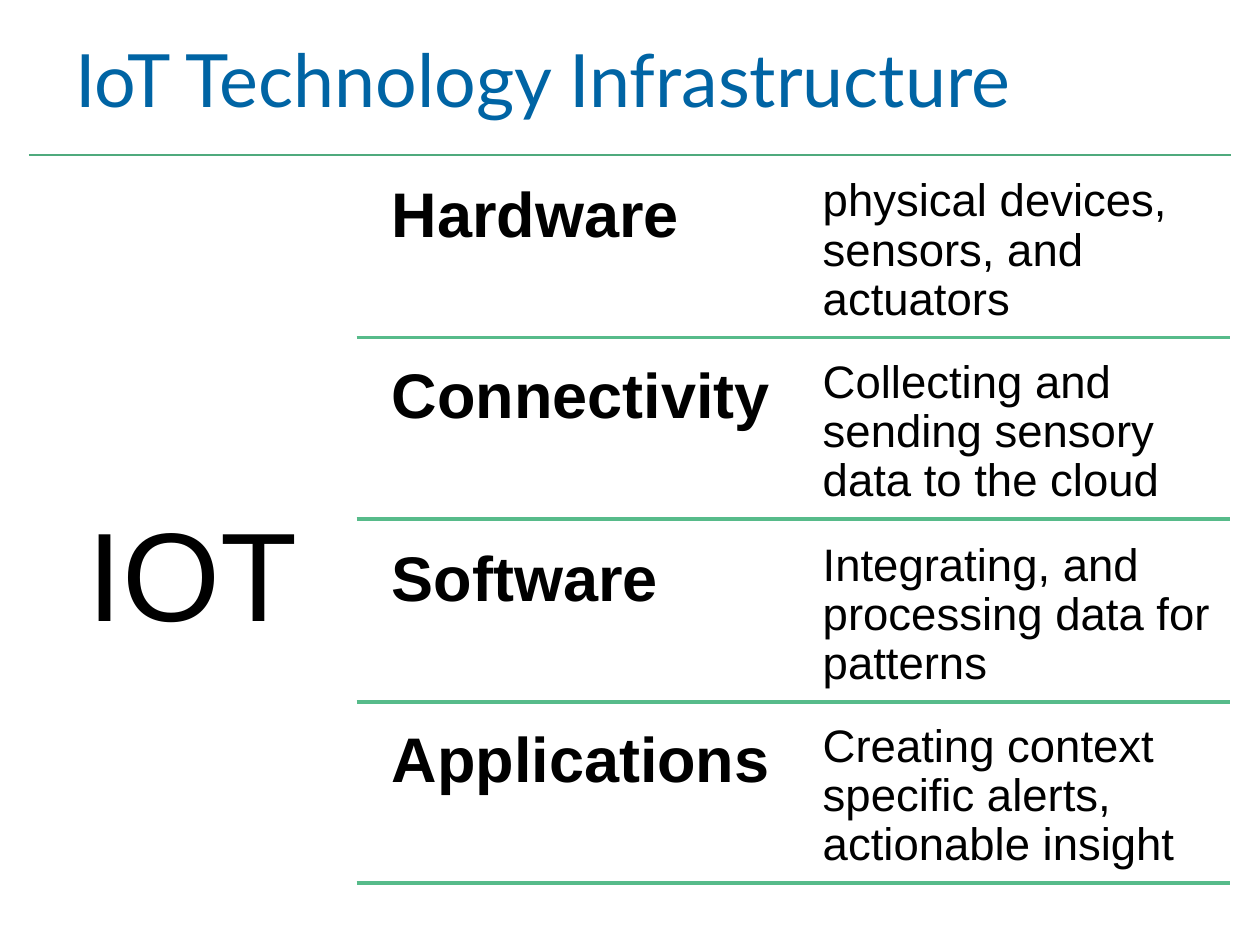
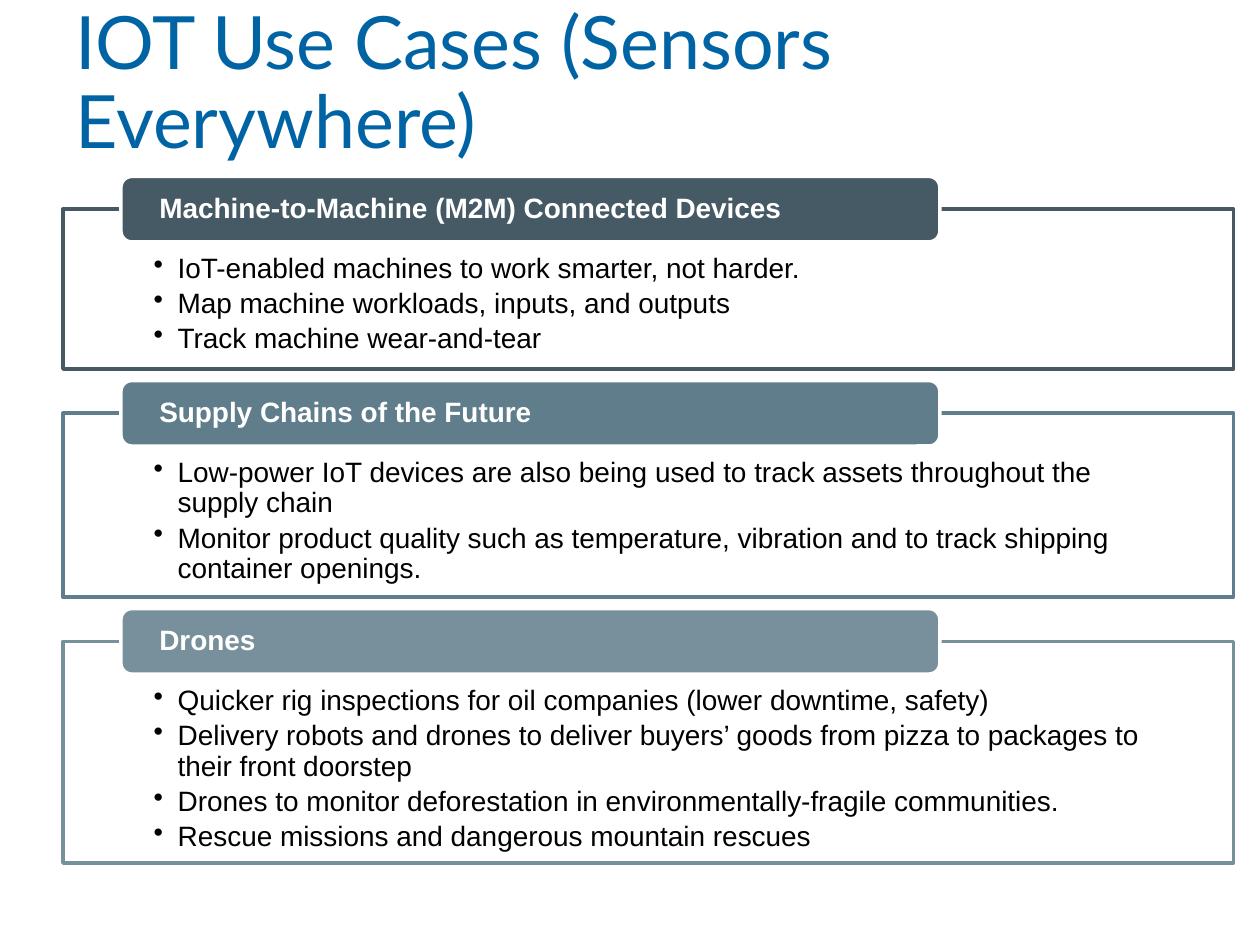
"""Build two slides on the parts and the uses of IoT."""
from dataclasses import dataclass

from lxml import etree
from pptx import Presentation
from pptx import util as u
from pptx.dml.color import RGBColor
from pptx.enum import shapes, text
from pptx.oxml.ns import qn

SCALE = 9144
BLUE, BLACK, WHITE = "0064A4", "000000", "FFFFFF"
RULE, GREEN = "4FAA7D", "57BB8A"
LEFT, RIGHT = 283, 976


@dataclass
class Style:
    """Look of a block of text."""
    size: int
    pad: tuple[int, int, int, int]
    font: str = "Arial"
    ink: str = BLACK
    bold: bool = False
    lead: float = 0.9
    align: text.PP_ALIGN = text.PP_ALIGN.LEFT
    anchor: text.MSO_ANCHOR = text.MSO_ANCHOR.TOP
    dots: bool = False


@dataclass
class Layer:
    """One row of the IoT stack."""
    name: str
    note: str


@dataclass
class Case:
    """One framed use case."""
    name: str
    ink: str
    height: int
    points: list[str]


TITLE = Style(42, (10, 5, 10, 5), "Lato", BLUE, anchor=text.MSO_ANCHOR.MIDDLE)
TOPIC = Style(72, (30,) * 4, lead=3.0, align=text.PP_ALIGN.CENTER)
NAME = Style(36, (15,) * 4, bold=True)
NOTE = Style(26, (11,) * 4)
LABEL = Style(16, (28, 0, 28, 0), ink=WHITE, bold=True, anchor=text.MSO_ANCHOR.MIDDLE)
POINT = Style(16, (72, 36, 72, 12), dots=True)

LAYERS = [
    Layer("Hardware", "physical devices, sensors, and actuators"),
    Layer("Connectivity", "Collecting and sending sensory data to the cloud"),
    Layer("Software", "Integrating, and processing data for patterns"),
    Layer("Applications", "Creating context specific alerts, actionable insight"),
]

CASES = [
    Case("Machine-to-Machine (M2M) Connected Devices", "455A64", 127, [
        "IoT-enabled machines to work smarter, not harder.",
        "Map machine workloads, inputs, and outputs",
        "Track machine wear-and-tear",
    ]),
    Case("Supply Chains of the Future", "607D8B", 146, [
        "Low-power IoT devices are also being used to track assets throughout the supply chain",
        "Monitor product quality such as temperature, vibration and to track shipping container openings.",
    ]),
    Case("Drones", "78909C", 176, [
        "Quicker rig inspections for oil companies (lower downtime, safety)",
        "Delivery robots and drones to deliver buyers’ goods from pizza to packages to their front doorstep",
        "Drones to monitor deforestation in environmentally-fragile communities.",
        "Rescue missions and dangerous mountain rescues",
    ]),
]


def px(*sizes: int) -> list[u.Emu]:
    """Turn px lengths into EMU."""
    return [u.Emu(size * SCALE) for size in sizes]


def paint(form, ink: str) -> None:
    """Give a fill or a font a hex colour."""
    if hasattr(form, "solid"):
        form.solid()
        form.fore_color.rgb = RGBColor.from_string(ink)
    else:
        form.color.rgb = RGBColor.from_string(ink)


def add_dot(para) -> None:
    """Give a paragraph a black bullet and a hanging indent."""
    props = para._p.get_or_add_pPr()
    props.set("marL", str(19 * SCALE))
    props.set("indent", str(-19 * SCALE))
    tint = etree.SubElement(props, qn("a:buClr"))
    etree.SubElement(tint, qn("a:srgbClr"), val=BLACK)
    etree.SubElement(props, qn("a:buChar"), char="•")
    para.space_after = u.Pt(2.8)


def write(shape, lines: list[str], style: Style) -> None:
    """Fill a shape with styled paragraphs."""
    frame = shape.text_frame
    frame.word_wrap = True
    frame.vertical_anchor = style.anchor
    (frame.margin_left, frame.margin_top,
     frame.margin_right, frame.margin_bottom) = px(*style.pad)
    frame.text = "\n".join(lines)
    for para in frame.paragraphs:
        if style.dots:
            add_dot(para)
        para.alignment = style.align
        para.line_spacing = style.lead
        for run in para.runs:
            run.font.name = style.font
            run.font.size = u.Pt(style.size)
            run.font.bold = style.bold
            paint(run.font, style.ink)


def add_text(slide, words: str, style: Style, *place: int) -> None:
    """Add a text box at left, top, width, height."""
    write(slide.shapes.add_textbox(*px(*place)), [words], style)


def add_line(slide, left: int, right: int, top: int, ink: str, width: float) -> None:
    """Draw a level rule."""
    line = slide.shapes.add_connector(shapes.MSO_CONNECTOR.STRAIGHT, *px(left, top, right, top))
    paint(line.line, ink)
    line.line.width = u.Pt(width)
    etree.SubElement(line._element.spPr, qn("a:effectLst"))


def add_panel(slide, kind: shapes.MSO_SHAPE, fill: str, edge: str, *place: int):
    """Add a filled and outlined shape."""
    panel = slide.shapes.add_shape(kind, *px(*place))
    panel.shadow.inherit = False
    paint(panel.fill, fill)
    paint(panel.line, edge)
    panel.line.width = u.Pt(2)
    return panel


def add_slide(deck, title: str, *place: int):
    """Add a blank slide with the shared title style."""
    slide = deck.slides.add_slide(deck.slide_layouts[6])
    add_text(slide, title, TITLE, *place)
    return slide


def draw_stack(deck) -> None:
    """Draw the layers beside the topic."""
    slide = add_slide(deck, "IoT Technology Infrastructure", 50, 24, 900, 85)
    add_line(slide, 23, 977, 123, RULE, 0.75)
    add_text(slide, "IOT", TOPIC, 23, 123, 260, 585)
    for row, layer in enumerate(LAYERS):
        top = 130 + row * 289 // 2
        add_text(slide, layer.name, NAME, 296, top, 334, 138)
        add_text(slide, layer.note, NOTE, 642, top, 334, 138)
        add_line(slide, LEFT, RIGHT, top + 138, GREEN, 2)


def draw_cases(deck) -> None:
    """Draw the framed use cases from top to bottom."""
    slide = add_slide(deck, "IOT Use Cases (Sensors Everywhere)", 50, 19, 929, 97)
    top = 166
    for case in CASES:
        frame = add_panel(slide, shapes.MSO_SHAPE.RECTANGLE, WHITE, case.ink,
                          50, top, 929, case.height)
        write(frame, case.points, POINT)
        label = add_panel(slide, shapes.MSO_SHAPE.ROUNDED_RECTANGLE, case.ink, WHITE,
                          96, top - 26, 650, 52)
        write(label, [case.name], LABEL)
        top += case.height + 35


def main() -> None:
    """Build and save the deck."""
    deck = Presentation()
    deck.slide_width, deck.slide_height = px(1000, 750)
    draw_stack(deck)
    draw_cases(deck)
    deck.save("out.pptx")


if __name__ == "__main__":
    main()
